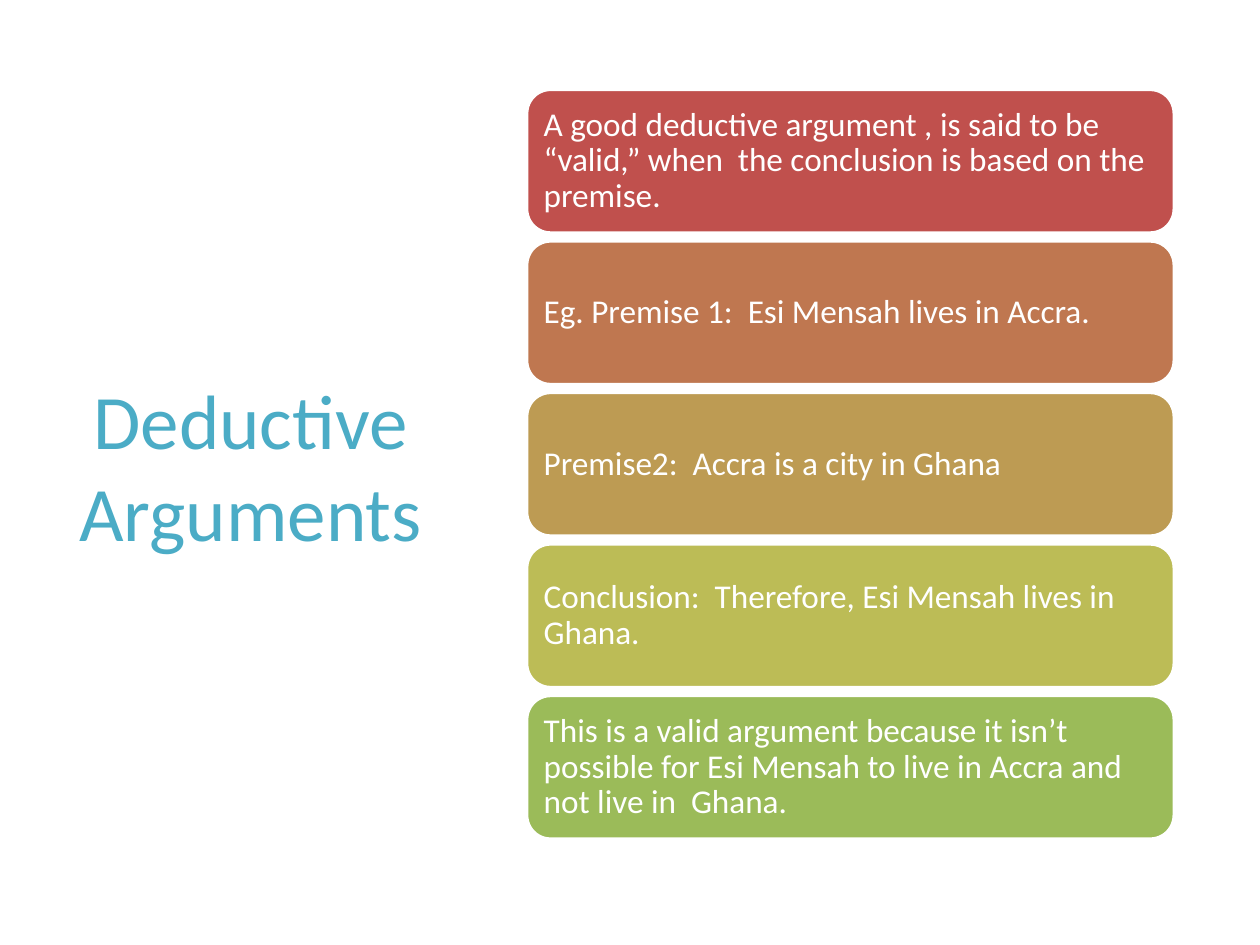
from pptx import Presentation
from pptx.dml.color import RGBColor
from pptx.enum.shapes import MSO_SHAPE
from pptx.enum.text import MSO_ANCHOR, PP_ALIGN
from pptx.util import Inches, Pt

COLORS = {
    "title": "4BACC6",
    "white": "FFFFFF",
    "red": "C0504D",
    "orange": "BF7750",
    "ochre": "BD9B53",
    "olive": "BCBC56",
    "green": "9BBB59",
}
FONT = "Calibri"
STATEMENTS = [
    ("red", "A good deductive argument , is said to be “valid,” when  the conclusion is based on the premise."),
    ("orange", "Eg. Premise 1:  Esi Mensah lives in Accra."),
    ("ochre", "Premise2:  Accra is a city in Ghana"),
    ("olive", "Conclusion:  Therefore, Esi Mensah lives in Ghana."),
    ("green", "This is a valid argument because it isn’t possible for Esi Mensah to live in Accra and not live in  Ghana."),
]


def color(name):
    return RGBColor.from_string(COLORS[name])


def write_text(shape, text, size, color_name, alignment):
    text_frame = shape.text_frame
    text_frame.word_wrap = True
    text_frame.vertical_anchor = MSO_ANCHOR.MIDDLE
    text_frame.text = text
    paragraph = text_frame.paragraphs[0]
    paragraph.alignment = alignment
    font = paragraph.runs[0].font
    font.name = FONT
    font.size = Pt(size)
    font.color.rgb = color(color_name)


def add_title(slide, left, top, width, height):
    title = slide.shapes.add_textbox(Inches(left), Inches(top), Inches(width), Inches(height))
    write_text(title, "Deductive Arguments", 44, "title", PP_ALIGN.CENTER)


def add_statement(slide, left, top, width, height, fill_name, text):
    card = slide.shapes.add_shape(
        MSO_SHAPE.ROUNDED_RECTANGLE, Inches(left), Inches(top), Inches(width), Inches(height)
    )
    card.shadow.inherit = False
    card.fill.solid()
    card.fill.fore_color.rgb = color(fill_name)
    card.line.color.rgb = color("white")
    card.line.width = Pt(2)
    write_text(card, text, 19, "white", PP_ALIGN.LEFT)
    text_frame = card.text_frame
    text_frame.margin_left = text_frame.margin_right = Inches(0.08)
    text_frame.margin_top = text_frame.margin_bottom = Inches(0.08)
    text_frame.paragraphs[0].line_spacing = 0.9


def add_statement_stack(slide, left, top, width, height):
    card_height = 1.14
    step = (height - card_height) / (len(STATEMENTS) - 1)
    for index, (fill_name, text) in enumerate(STATEMENTS):
        add_statement(slide, left, top + index * step, width, card_height, fill_name, text)


def main():
    presentation = Presentation()
    presentation.slide_width = Inches(10)
    presentation.slide_height = Inches(7.5)
    slide = presentation.slides.add_slide(presentation.slide_layouts[6])

    # Title on the left
    add_title(slide, 0.43, 0.68, 3.12, 6.02)
    # Stack of argument steps on the right
    add_statement_stack(slide, 4.18, 0.71, 5.14, 5.95)

    presentation.save("out.pptx")


if __name__ == "__main__":
    main()
